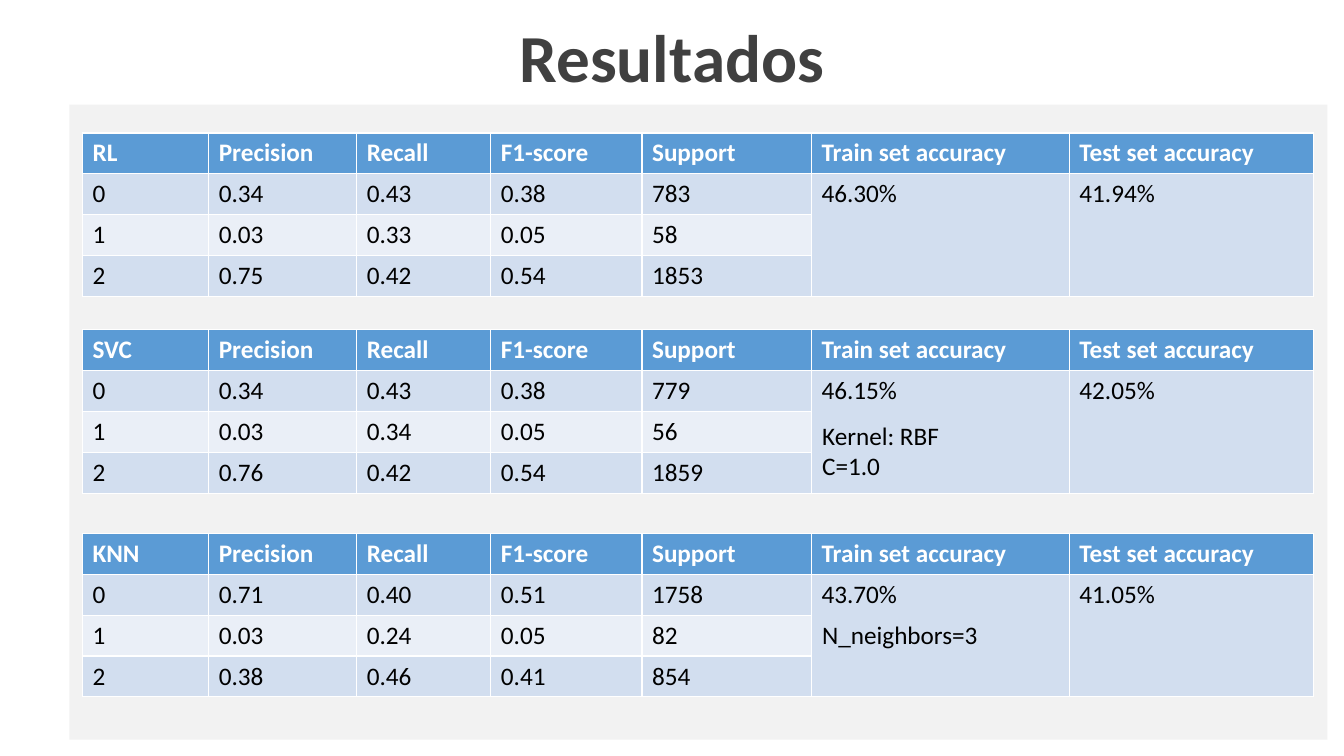
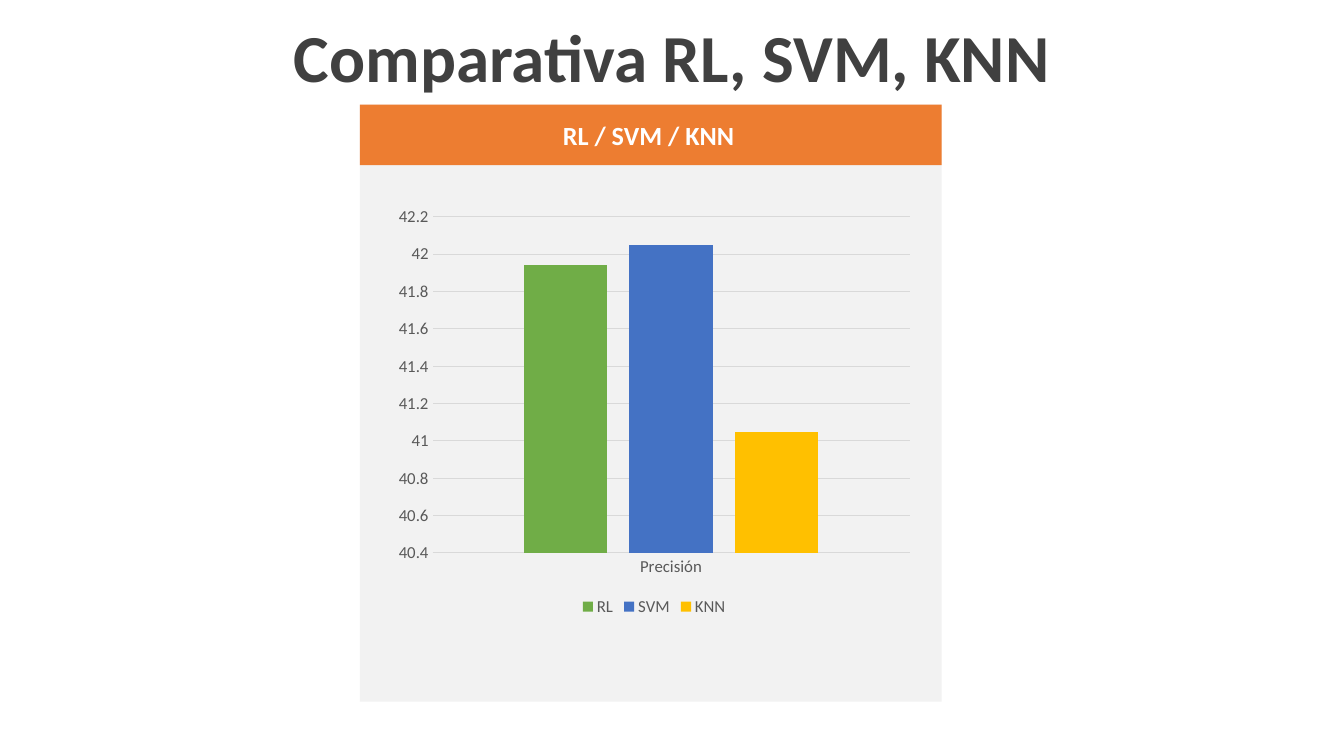
from pptx import Presentation
from pptx.chart.data import CategoryChartData as ChartData
from pptx.dml.color import RGBColor
from pptx.enum.chart import XL_CHART_TYPE as Kind, XL_LEGEND_POSITION as Place, XL_TICK_MARK as Tick
from pptx.enum.shapes import MSO_SHAPE as Shape
from pptx.enum.text import MSO_ANCHOR as Anchor, PP_ALIGN as Align
from pptx.util import Cm, Pt

FONT = "Calibri"
WHITE, BLACK, DARK, GREY = "FFFFFF", "000000", "404040", "595959"
PANEL, RULE, BAND = "F2F2F2", "D9D9D9", "ED7D31"
HEAD, ODD, EVEN = "5B9BD5", "D2DEEF", "EAEFF7"

HEADS = ["Precision", "Recall", "F1-score", "Support", "Train set accuracy", "Test set accuracy"]
WIDTHS = [3.18, 3.73, 3.38, 3.81, 4.27, 6.5, 6.15]
ROW = 1.03
MODELS = [
    {"name": "RL", "top": 3.35, "rates": ["46.30%", "41.94%"], "rows": [
        ["0", "0.34", "0.43", "0.38", "783"],
        ["1", "0.03", "0.33", "0.05", "58"],
        ["2", "0.75", "0.42", "0.54", "1853"]]},
    {"name": "SVC", "top": 8.31, "rates": ["46.15%", "42.05%"], "rows": [
        ["0", "0.34", "0.43", "0.38", "779"],
        ["1", "0.03", "0.34", "0.05", "56"],
        ["2", "0.76", "0.42", "0.54", "1859"]]},
    {"name": "KNN", "top": 13.44, "rates": ["43.70%", "41.05%"], "rows": [
        ["0", "0.71", "0.40", "0.51", "1758"],
        ["1", "0.03", "0.24", "0.05", "82"],
        ["2", "0.38", "0.46", "0.41", "854"]]},
]
HINTS = [("Kernel: RBF\nC=1.0", 10.46, 1.8), ("N_neighbors=3", 15.49, 1.02)]
BARS = [("RL", 41.94, "70AD47"), ("SVM", 42.05, "4472C4"), ("KNN", 41.05, "FFC000")]


def paint(code):
    return RGBColor.from_string(code)


def fill(part, code):
    part.fill.solid()
    part.fill.fore_color.rgb = paint(code)


def style(font, size, code, bold=False):
    font.name, font.size, font.bold = FONT, Pt(size), bold
    font.color.rgb = paint(code)


def write(frame, text, size, code, bold=False, align=None):
    frame.text = text
    frame.word_wrap = True
    for par in frame.paragraphs:
        par.alignment = align
        for run in par.runs:
            style(run.font, size, code, bold)


def place(*box):
    return [Cm(n) for n in box]


def add_slide(text):
    slide = deck.slides.add_slide(deck.slide_layouts[5])
    title = slide.shapes.title
    title.left, title.top, title.width, title.height = place(0, 0.1, 33.87, 2.87)
    frame = title.text_frame
    write(frame, text, 48, DARK, True, Align.CENTER)
    frame.vertical_anchor = Anchor.MIDDLE
    frame.paragraphs[0].line_spacing = 0.9
    return slide


def add_rect(slide, code, *box):
    rect = slide.shapes.add_shape(Shape.RECTANGLE, *place(*box))
    rect.shadow.inherit = False
    fill(rect, code)
    rect.line.fill.background()


def add_text(slide, text, size, code, box, **look):
    label = slide.shapes.add_textbox(*place(*box))
    write(label.text_frame, text, size, code, **look)


def add_grid(slide, model):
    first, *rest = model["rows"]
    rows = [[model["name"]] + HEADS, first + model["rates"]] + [row + ["", ""] for row in rest]
    box = place(2.08, model["top"], sum(WIDTHS), ROW * len(rows))
    grid = slide.shapes.add_table(len(rows), len(WIDTHS), *box).table
    for col, width in zip(grid.columns, WIDTHS):
        col.width = Cm(width)
    for r, row in enumerate(rows):
        grid.rows[r].height = Cm(ROW)
        for c, text in enumerate(row):
            cell = grid.cell(r, c)
            fill(cell, HEAD if r == 0 else ODD if r % 2 or c > 4 else EVEN)
            write(cell.text_frame, text, 18, BLACK if r else WHITE, r == 0)
    for c in (5, 6):
        grid.cell(1, c).merge(grid.cell(len(rows) - 1, c))


def add_bars(slide, *box):
    data = ChartData()
    data.categories = ["Precisión"]
    for name, value, _ in BARS:
        data.add_series(name, [value])
    chart = slide.shapes.add_chart(Kind.COLUMN_CLUSTERED, *place(*box), data).chart
    style(chart.font, 12, GREY)
    chart.has_title = False
    chart.has_legend = True
    chart.legend.position = Place.BOTTOM
    chart.legend.include_in_layout = False
    plot = chart.plots[0]
    plot.vary_by_categories = False
    plot.gap_width, plot.overlap = 219, -27
    for bar, (_, _, code) in zip(plot.series, BARS):
        fill(bar.format, code)
    cats, vals = chart.category_axis, chart.value_axis
    for axis in (cats, vals):
        axis.major_tick_mark = axis.minor_tick_mark = Tick.NONE
    vals.minimum_scale, vals.maximum_scale, vals.major_unit = 40.4, 42.2, 0.2
    vals.format.line.fill.background()
    for line in (cats.format.line, vals.major_gridlines.format.line):
        line.color.rgb = paint(RULE)
        line.width = Pt(0.75)


deck = Presentation()
deck.slide_width, deck.slide_height = place(33.87, 19.05)

slide = add_slide("Resultados")
add_rect(slide, PANEL, 1.75, 2.64, 31.7, 16)
for model in MODELS:
    add_grid(slide, model)
for text, top, height in HINTS:
    add_text(slide, text, 18, BLACK, (20.47, top, 5.87, height))

slide = add_slide("Comparativa RL, SVM, KNN")
for code, height in ((PANEL, 15.04), (BAND, 1.52)):
    add_rect(slide, code, 9.07, 2.64, 14.66, height)
add_text(slide, "RL / SVM / KNN", 18.7, WHITE, (9.78, 2.87, 13.13, 1.07), bold=True, align=Align.CENTER)
add_bars(slide, 9.78, 5, 13.41, 10.64)

deck.save("out.pptx")
